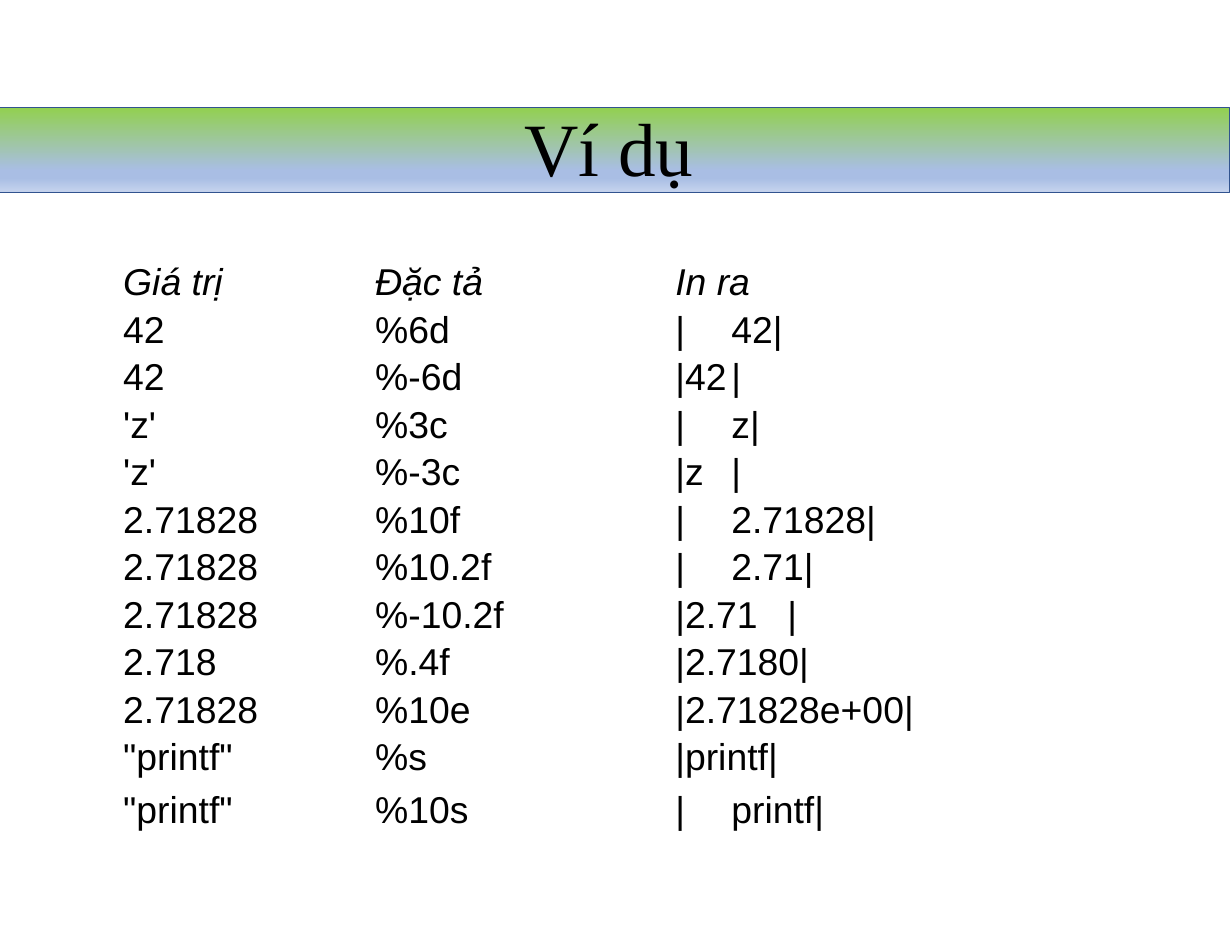
"""Build a slide with a table of printf format examples."""
import pptx
import pptx.dml.color
import pptx.enum.shapes
import pptx.enum.text
import pptx.oxml
import pptx.oxml.ns
import pptx.util
from pptx.util import Inches

BLACK = pptx.dml.color.RGBColor(0x00, 0x00, 0x00)
BORDER_BLUE = pptx.dml.color.RGBColor(0x31, 0x53, 0x8F)
GREEN = pptx.dml.color.RGBColor(0x92, 0xD0, 0x50)
BLUE = pptx.dml.color.RGBColor(0xA9, 0xBE, 0xE4)
PALE_BLUE = pptx.dml.color.RGBColor(0xC5, 0xD3, 0xED)
BANNER_STOPS = [(0, GREEN), (74, BLUE), (83, BLUE), (100, PALE_BLUE)]

COLUMN_WIDTHS = [2.08, 2.38, 3.55]
COLUMN_INDENTS = [0.03, 0.2, 0.5]
ROW_HEIGHTS = [0.31] + [0.4] * 9 + [0.43, 0.42]
LINE_SPACINGS = [1.03] + [1.065] * 10 + [1.17]
ROWS = [
    ("Giá trị", "Đặc tả", "In ra"),
    ("42", "%6d", "|\t42|"),
    ("42", "%-6d", "|42\t|"),
    ("'z'", "%3c", "|\tz|"),
    ("'z'", "%-3c", "|z\t|"),
    ("2.71828", "%10f", "|\t2.71828|"),
    ("2.71828", "%10.2f", "|\t2.71|"),
    ("2.71828", "%-10.2f", "|2.71\t|"),
    ("2.718", "%.4f", "|2.7180|"),
    ("2.71828", "%10e", "|2.71828e+00|"),
    ('"printf"', "%s", "|printf|"),
    ('"printf"', "%10s", "|\tprintf|"),
]


def add_run(paragraph, text, font_name, size, italic=False):
    run = paragraph.add_run()
    run.text = text
    run.font.name = font_name
    run.font.size = pptx.util.Pt(size)
    run.font.italic = italic
    run.font.color.rgb = BLACK


presentation = pptx.Presentation()
presentation.slide_width = Inches(11)
presentation.slide_height = Inches(8.5)
slide = presentation.slides.add_slide(presentation.slide_layouts[6])

banner = slide.shapes.add_shape(
    pptx.enum.shapes.MSO_SHAPE.RECTANGLE,
    Inches(-0.02), Inches(0.96), Inches(11), Inches(0.76))
banner.shadow.inherit = False
banner.line.color.rgb = BORDER_BLUE
banner.line.width = pptx.util.Pt(1)
banner.fill.gradient()
banner.fill.gradient_angle = 270
stop_list = banner._element.spPr.find(".//" + pptx.oxml.ns.qn("a:gsLst"))
for stop in list(stop_list):
    stop_list.remove(stop)
for position, color in BANNER_STOPS:
    stop_list.append(pptx.oxml.parse_xml(
        f'<a:gs {pptx.oxml.ns.nsdecls("a")} pos="{position * 1000}">'
        f'<a:srgbClr val="{color}"/></a:gs>'))

title = slide.shapes.add_textbox(
    Inches(4.68), Inches(0.89), Inches(1.65), Inches(0.83))
title_frame = title.text_frame
title_frame.word_wrap = True
title_frame.vertical_anchor = pptx.enum.text.MSO_ANCHOR.MIDDLE
title_frame.margin_left = title_frame.margin_right = title_frame.margin_bottom = 0
title_frame.margin_top = Inches(0.01)
add_run(title_frame.paragraphs[0], "Ví dụ", "Times New Roman", 48.4)

table = slide.shapes.add_table(
    len(ROWS), len(COLUMN_WIDTHS), Inches(1.07), Inches(2.33),
    Inches(sum(COLUMN_WIDTHS)), Inches(sum(ROW_HEIGHTS))).table
table.first_row = False
table.horz_banding = False
for column, width in zip(table.columns, COLUMN_WIDTHS):
    column.width = Inches(width)

for row_index, texts in enumerate(ROWS):
    table.rows[row_index].height = Inches(ROW_HEIGHTS[row_index])
    for column_index, text in enumerate(texts):
        cell = table.cell(row_index, column_index)
        cell.fill.background()
        cell.margin_left = cell.margin_right = 0
        cell.margin_top = cell.margin_bottom = 0
        paragraph = cell.text_frame.paragraphs[0]
        paragraph.line_spacing = LINE_SPACINGS[row_index]
        paragraph._p.get_or_add_pPr().set(
            "marL", str(Inches(COLUMN_INDENTS[column_index])))
        add_run(paragraph, text, "Arial", 24, italic=row_index == 0)

presentation.save("out.pptx")
